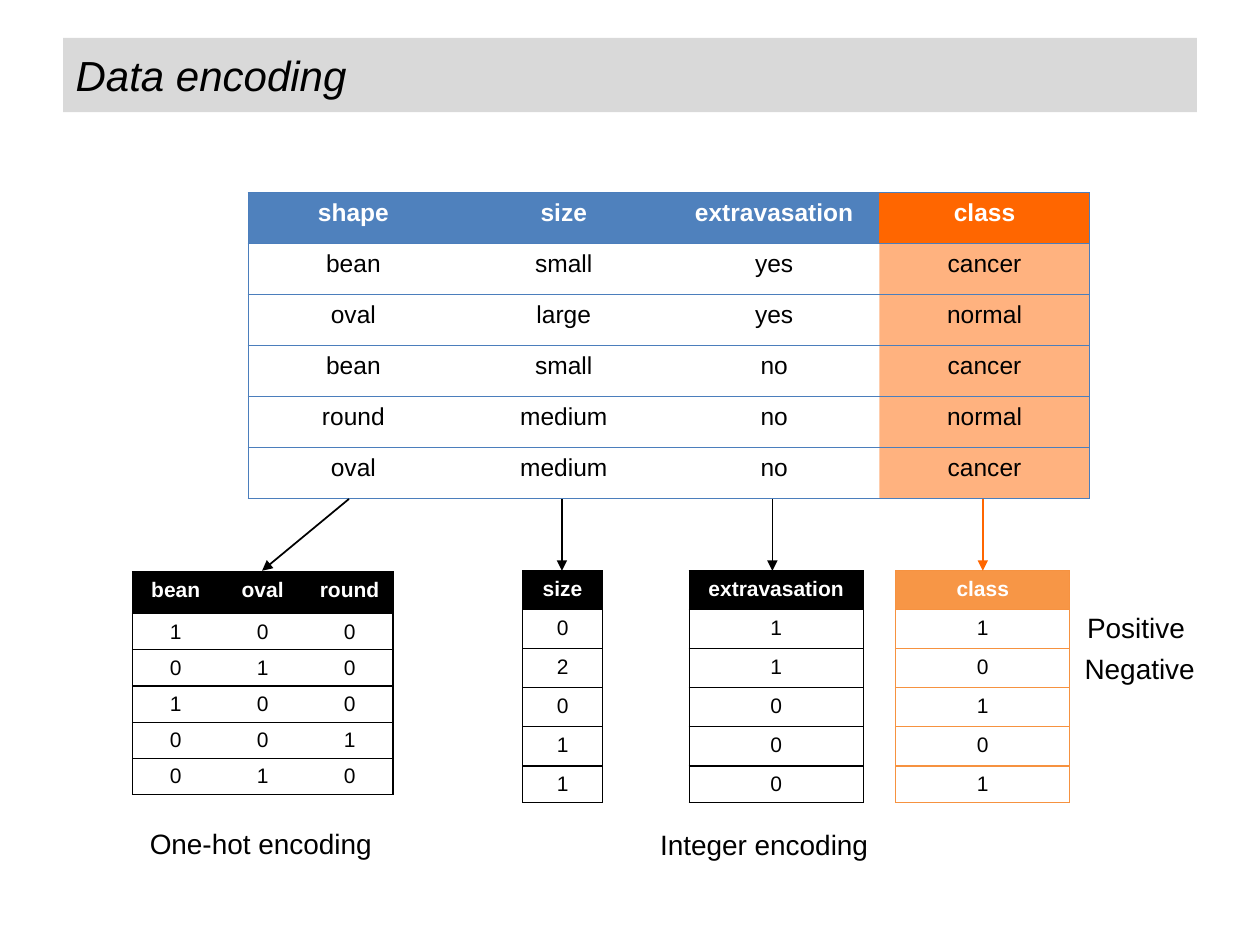
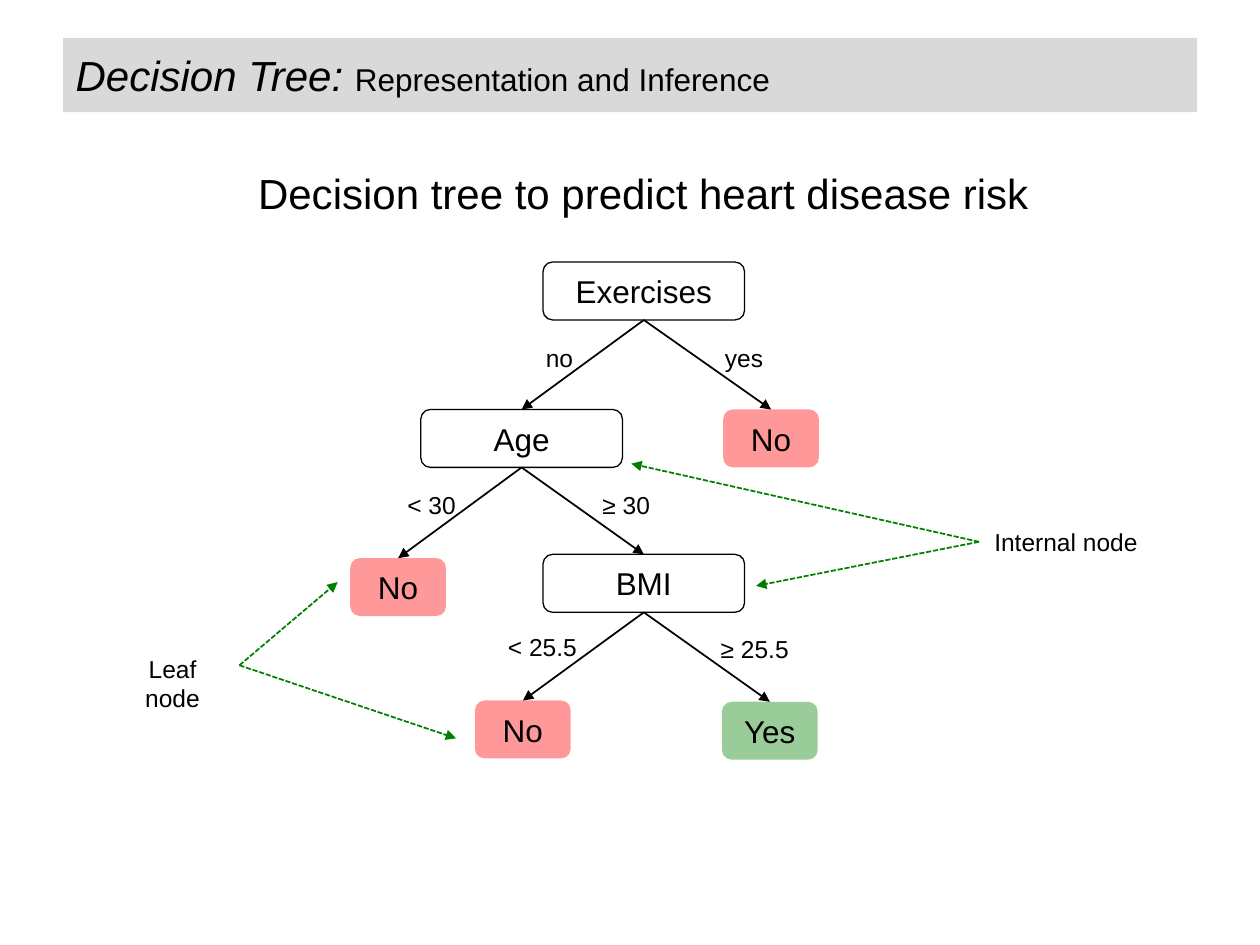
from dataclasses import dataclass

from pptx import Presentation
from pptx.dml.color import RGBColor
from pptx.enum import dml, shapes, text
from pptx.oxml import parse_xml
from pptx.oxml.ns import nsdecls, qn
from pptx.util import Inches, Pt


@dataclass(frozen=True)
class Theme:
    font: str = "Arial"
    ink: str = "000000"
    paper: str = "FFFFFF"
    band: str = "D9D9D9"
    blue: str = "4F81BD"
    blue_rule: str = "4B7EBC"
    orange: str = "FF6600"
    soft_orange: str = "F79646"
    orange_rule: str = "F69240"
    red: str = "FF0000"
    green: str = "008000"
    heading: int = 24
    large: int = 18
    caption: int = 16
    body: int = 14
    small: int = 12


THEME = Theme()


def color(value):
    return RGBColor.from_string(value)


def paint(fill, value, opacity=100):
    """Solid fill, with optional opacity in percent; None means no fill."""
    if value is None:
        fill.background()
        return
    fill.solid()
    fill.fore_color.rgb = color(value)


def fade(element, opacity):
    """Set the opacity in percent of a solid fill that sits directly in element."""
    rgb = element.find(qn("a:solidFill")).find(qn("a:srgbClr"))
    rgb.append(parse_xml(f'<a:alpha {nsdecls("a")} val="{opacity * 1000}"/>'))


def set_border(cell, side, value):
    """Draw one side of a cell, or hide it when value is None."""
    inner = f'<a:solidFill><a:srgbClr val="{value}"/></a:solidFill>' if value else "<a:noFill/>"
    cell._tc.get_or_add_tcPr().append(
        parse_xml(f'<a:ln{side} {nsdecls("a")} w="{Pt(0.75)}">{inner}</a:ln{side}>'))


class SlideBuilder:
    """Holds the theme and the current slide."""

    def __init__(self, deck, theme):
        self.deck, self.theme, self.page = deck, theme, None

    def style(self, font, size, value=None, bold=False, italic=False):
        font.name, font.size = self.theme.font, Pt(size)
        font.bold, font.italic = bold, italic
        font.color.rgb = color(value or self.theme.ink)

    def new_page(self, title, subtitle=None):
        """Add a slide with the grey title band."""
        self.page = self.deck.slides.add_slide(self.deck.slide_layouts[5])
        box = self.page.shapes.title
        box.left, box.top, box.width, box.height = map(Inches, (0.5, 0.3, 9, 0.59))
        paint(box.fill, self.theme.band)
        frame = box.text_frame
        frame.auto_size = text.MSO_AUTO_SIZE.NONE
        frame.vertical_anchor = text.MSO_ANCHOR.MIDDLE
        para = frame.paragraphs[0]
        para.alignment = text.PP_ALIGN.LEFT
        span = para.add_run()
        span.text = f"{title} " if subtitle else title
        self.style(span.font, self.theme.heading, italic=True)
        if subtitle:
            span = para.add_run()
            span.text = subtitle
            self.style(span.font, self.theme.large)

    def label(self, words, place, size, centered=True, wrap=True, fill=None):
        box = self.page.shapes.add_textbox(*map(Inches, place))
        box.text_frame.word_wrap = wrap
        paint(box.fill, fill)
        para = box.text_frame.paragraphs[0]
        para.text = words
        para.alignment = text.PP_ALIGN.CENTER if centered else text.PP_ALIGN.LEFT
        self.style(para.font, size)

    def node(self, words, left, top, width, fill=None):
        """Rounded box of the tree: outlined when it has no fill."""
        box = self.page.shapes.add_shape(
            shapes.MSO_SHAPE.ROUNDED_RECTANGLE, *map(Inches, (left, top, width, 0.46)))
        box.shadow.inherit = False
        paint(box.fill, fill)
        if fill:
            fade(box.element.spPr, 40)
            box.line.fill.background()
        else:
            box.line.color.rgb = color(self.theme.ink)
            box.line.width = Pt(0.75)
        box.text_frame.vertical_anchor = text.MSO_ANCHOR.MIDDLE
        para = box.text_frame.paragraphs[0]
        para.text = words
        para.alignment = text.PP_ALIGN.CENTER
        self.style(para.font, self.theme.large)
        return box

    def arrow(self, start, end, value=None, dashed=False):
        line = self.page.shapes.add_connector(
            shapes.MSO_CONNECTOR.STRAIGHT, *map(Inches, (*start, *end)))
        line.line.color.rgb = color(value or self.theme.ink)
        line.line.width = Pt(1)
        if dashed:
            line.line.dash_style = dml.MSO_LINE.SQUARE_DOT
        properties = line.element.spPr
        properties.find(qn("a:ln")).append(
            parse_xml(f'<a:tailEnd {nsdecls("a")} type="triangle"/>'))
        properties.append(parse_xml(f'<a:effectLst {nsdecls("a")}/>'))
        return line

    def branch(self, parent, child):
        """Arrow glued from the bottom of parent to the top of child."""
        line = self.arrow((0, 0), (1, 1))
        line.begin_connect(parent, 2)
        line.end_connect(child, 0)

    def table(self, rows, left, top, column_width, heights, size, head, rule, accent=None):
        """Ruled table; accent tints the last column."""
        columns = len(rows[0])
        frame = self.page.shapes.add_table(
            len(rows), columns, Inches(left), Inches(top),
            Inches(column_width * columns), Inches(sum(heights)))
        grid = frame.table
        grid.horz_banding = False
        for column in grid.columns:
            column.width = Inches(column_width)
        for r, (row, height) in enumerate(zip(rows, heights)):
            grid.rows[r].height = Inches(height)
            for c, words in enumerate(row):
                cell = grid.cell(r, c)
                last = c == columns - 1
                set_border(cell, "L", rule if c == 0 else None)
                set_border(cell, "R", rule if last else None)
                set_border(cell, "T", rule)
                set_border(cell, "B", rule)
                tinted = accent if last else None
                paint(cell.fill, tinted or (head if r == 0 else None))
                if tinted and r > 0:
                    fade(cell._tc.tcPr, 50)
                para = cell.text_frame.paragraphs[0]
                para.text = words
                para.alignment = text.PP_ALIGN.CENTER
                self.style(para.font, size, self.theme.paper if r == 0 else None, bold=r == 0)


def build_encoding(builder):
    theme = builder.theme
    builder.new_page("Data encoding")

    # Samples with their class
    samples = [
        ("shape", "size", "extravasation", "class"),
        ("bean", "small", "yes", "cancer"),
        ("oval", "large", "yes", "normal"),
        ("bean", "small", "no", "cancer"),
        ("round", "medium", "no", "normal"),
        ("oval", "medium", "no", "cancer"),
    ]
    builder.table(samples, 1.97, 1.53, 1.67, [0.405] * 6, theme.body,
                  theme.blue, theme.blue_rule, accent=theme.orange)

    # One-hot table: one column for each shape
    kinds = ("bean", "oval", "round")
    one_hot = [kinds] + [[str(int(kind == row[0])) for kind in kinds] for row in samples[1:]]
    builder.table(one_hot, 1.05, 4.54, 0.69, [0.33] + [0.26] * 5, theme.small,
                  theme.ink, theme.ink)

    # Integer tables: one code for each value
    codes = {"small": 0, "medium": 1, "large": 2, "no": 0, "yes": 1, "normal": 0, "cancer": 1}
    for column, left, width, head, rule in (
        (1, 4.15, 0.63, theme.ink, theme.ink),
        (2, 5.47, 1.38, theme.ink, theme.ink),
        (3, 7.11, 1.38, theme.soft_orange, theme.orange_rule),
    ):
        coded = [[samples[0][column]]] + [[str(codes[row[column]])] for row in samples[1:]]
        builder.table(coded, left, 4.53, width, [0.31] * 5 + [0.29], theme.small, head, rule)

    # Arrows from each column to its encoding
    for start, end, value in ((2.77, 2.08, theme.ink), (4.46, 4.46, theme.ink),
                              (6.13, 6.13, theme.ink), (7.8, 7.8, theme.orange)):
        builder.arrow((start, 3.96), (end, 4.53), value)

    # Captions
    for words, left, top, width in (("One-hot encoding", 1.09, 6.51, 1.98),
                                    ("Integer encoding", 5.14, 6.52, 1.98),
                                    ("Positive", 8.53, 4.8, 1.3),
                                    ("Negative", 8.51, 5.12, 1.3)):
        builder.label(words, (left, top, width, 0.37), theme.caption, centered=False)


def build_tree(builder):
    theme = builder.theme
    builder.new_page("Decision Tree:", "Representation and Inference")
    builder.label("Decision tree to predict heart disease risk", (1.14, 1.28, 7.93, 0.5),
                  theme.heading, fill=theme.paper)

    # Internal nodes and leaves
    exercises = builder.node("Exercises", 4.31, 2.08, 1.6)
    age = builder.node("Age", 3.34, 3.25, 1.6)
    bmi = builder.node("BMI", 4.31, 4.4, 1.6)
    active = builder.node("No", 5.74, 3.25, 0.76, theme.red)
    young = builder.node("No", 2.78, 4.43, 0.76, theme.red)
    slim = builder.node("No", 3.77, 5.56, 0.76, theme.red)
    at_risk = builder.node("Yes", 5.73, 5.57, 0.76, theme.green)

    # Branches and their conditions
    for parent, child, condition, left, top, width in (
        (exercises, age, "no", 4.23, 2.67, 0.42),
        (exercises, active, "yes", 5.65, 2.67, 0.51),
        (age, young, "< 30", 3.13, 3.84, 0.59),
        (age, bmi, "≥ 30", 4.68, 3.84, 0.58),
        (bmi, slim, "< 25.5", 3.93, 4.97, 0.75),
        (bmi, at_risk, "≥ 25.5", 5.62, 4.98, 0.74),
    ):
        builder.branch(parent, child)
        builder.label(condition, (left, top, width, 0.34), theme.body, wrap=False)

    # Notes pointing at the two kinds of node
    for words, place, start, ends in (
        ("Leaf node", (0.84, 5.14, 1.06, 0.34), (1.9, 5.28), ((2.68, 4.62), (3.62, 5.86))),
        ("Internal node", (7.77, 4.13, 1.38, 0.34), (7.77, 4.3), ((5.01, 3.68), (6, 4.65))),
    ):
        builder.label(words, place, theme.body)
        for end in ends:
            builder.arrow(start, end, theme.green, dashed=True)


def main():
    deck = Presentation()
    deck.slide_width, deck.slide_height = Inches(10), Inches(7.5)
    builder = SlideBuilder(deck, THEME)
    build_encoding(builder)
    build_tree(builder)
    deck.save("out.pptx")


if __name__ == "__main__":
    main()
